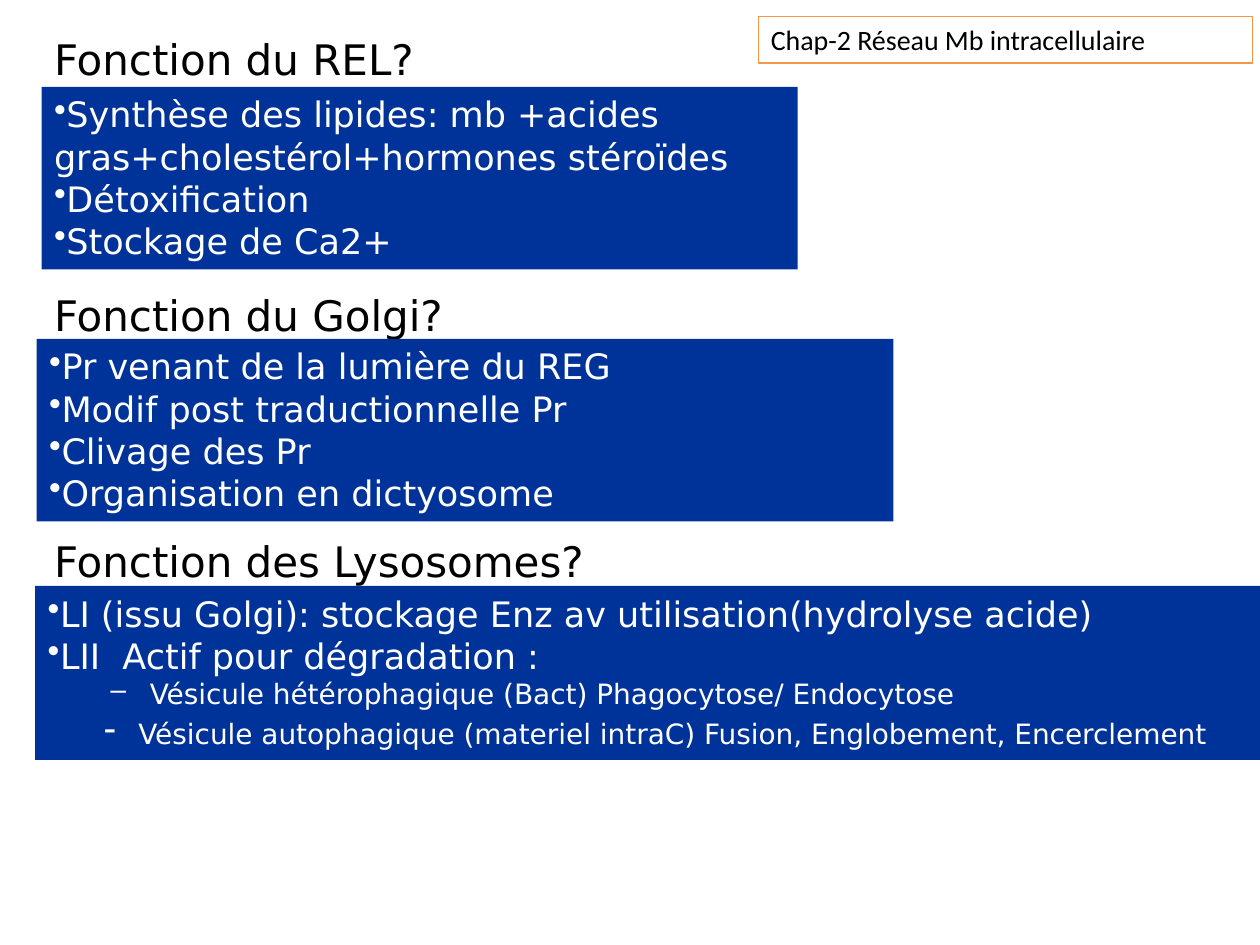
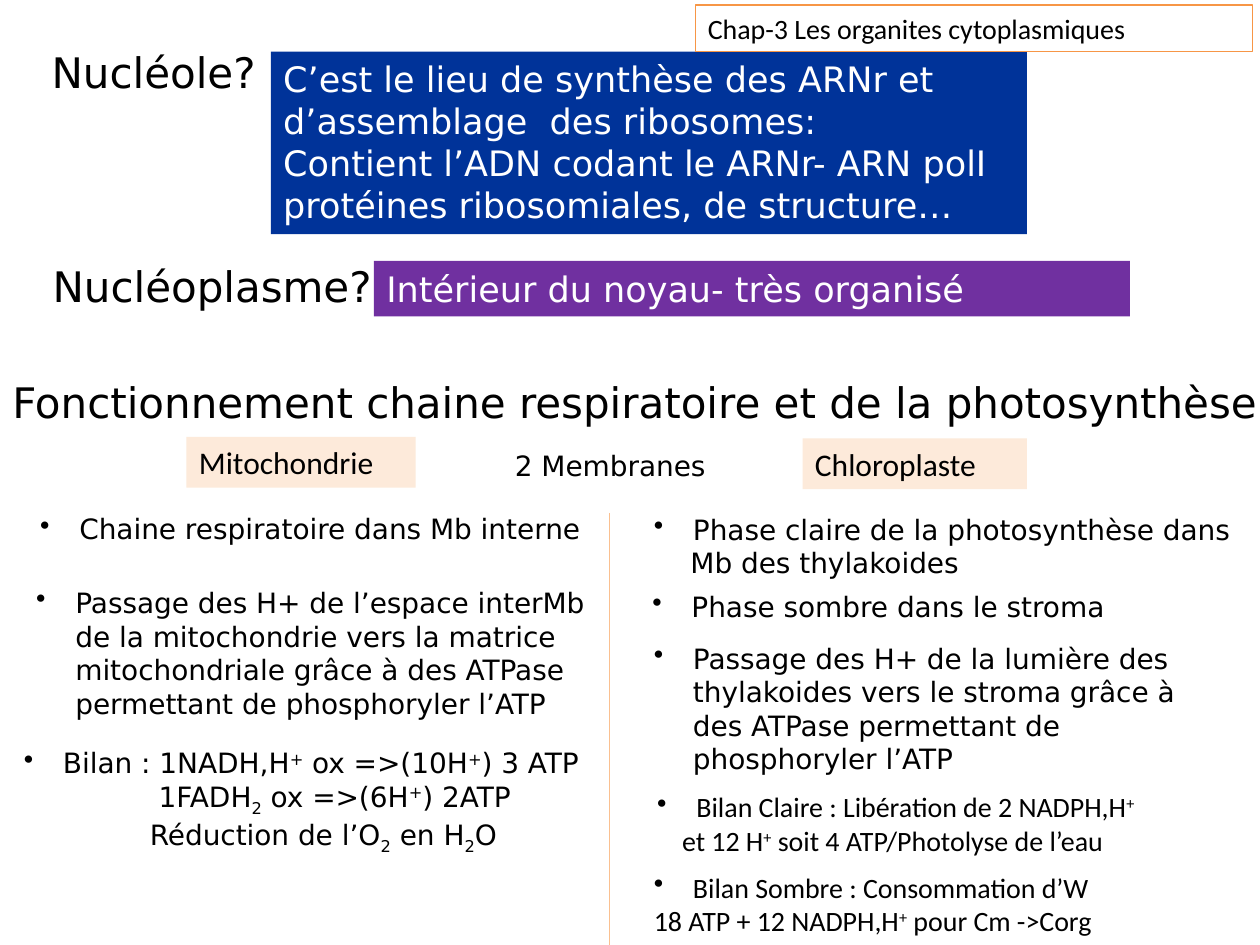
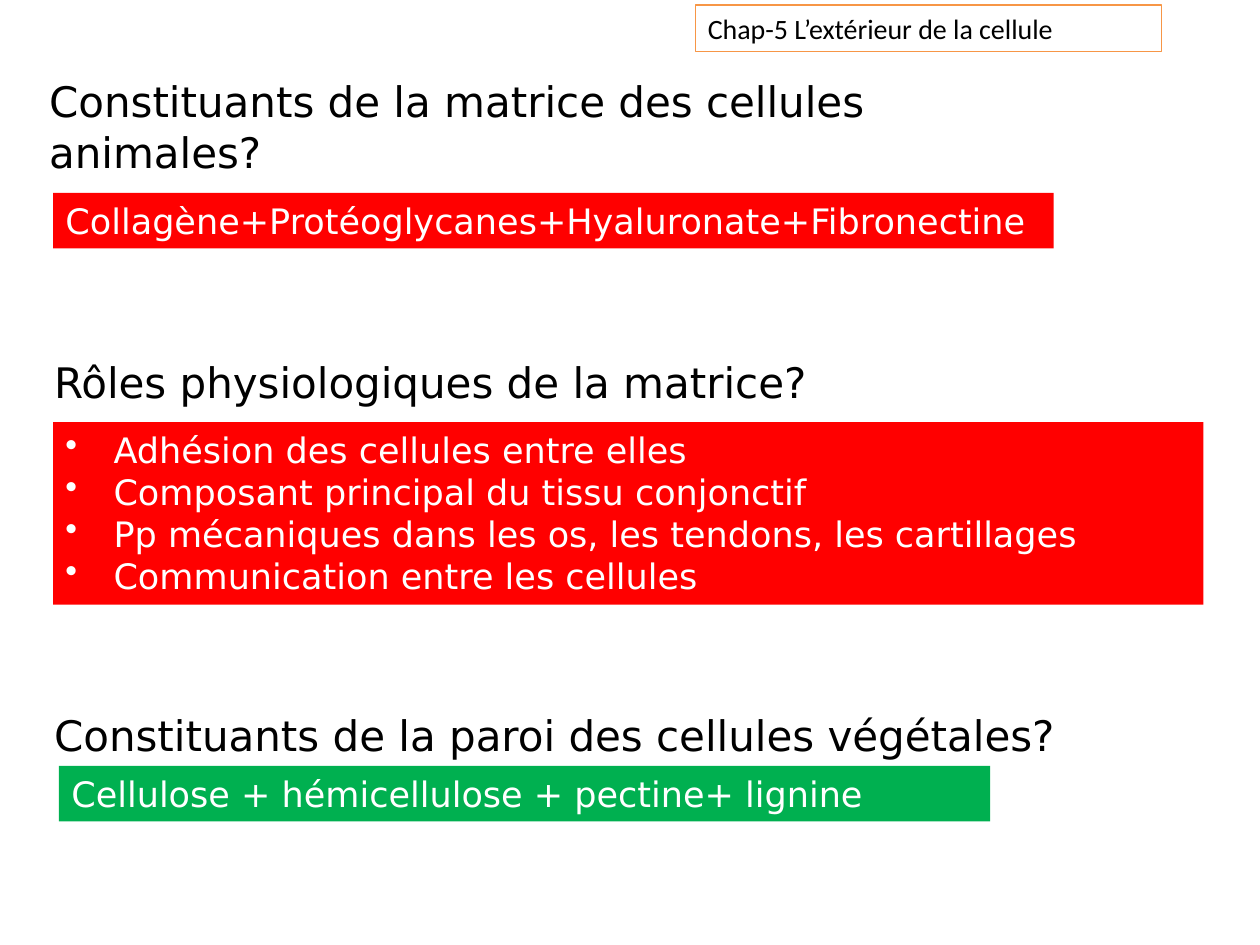
"""Build three revision slides on cell organelles."""
from pptx import Presentation
from pptx.dml.color import RGBColor
from pptx.enum import shapes, text
from pptx.oxml import xmlchemy
from pptx.util import Cm, Pt

BLACK = RGBColor(0x00, 0x00, 0x00)
WHITE = RGBColor(0xFF, 0xFF, 0xFF)
BLUE = RGBColor(0x00, 0x33, 0x99)
PURPLE = RGBColor(0x70, 0x30, 0xA0)
RED = RGBColor(0xFF, 0x00, 0x00)
GREEN = RGBColor(0x00, 0xB0, 0x50)
ORANGE = RGBColor(0xF7, 0x96, 0x46)
PALE_ORANGE = RGBColor(0xFA, 0xC0, 0x90)
CREAM = RGBColor(0xFD, 0xEA, 0xDA)

DEJAVU, CALIBRI = "DejaVu Sans", "Calibri"
QUESTION = dict(font=dict(name=DEJAVU, size=Pt(24)), color=BLACK)
ANSWER = dict(font=dict(name=DEJAVU, size=Pt(20)), color=WHITE)
NOTE = dict(font=dict(name=DEJAVU, size=Pt(16)), color=BLACK)
SUMMARY = dict(font=dict(name=CALIBRI, size=Pt(16)), color=BLACK)
ORGANELLE = dict(font=dict(name=CALIBRI, size=Pt(18)), color=BLACK, fill=CREAM)
CHAPTER = dict(SUMMARY, line=ORANGE)
ON_BLUE, ON_PURPLE, ON_RED, ON_GREEN = [
    dict(ANSWER, fill=c) for c in (BLUE, PURPLE, RED, GREEN)]

PLAIN = dict(left=0, first=0)
TIGHT = dict(left=0, first=0, bullet="•")
HANGING = dict(left=0.79, first=-0.79, bullet="•")
WIDE = dict(left=0.97, first=-0.97, bullet="•")
DASH = dict(left=2.06, first=-0.79, bullet="–", size=16)
HYPHEN = dict(left=1.83, first=-0.69, bullet="-", size=16, scale=125, before=4)
FOLLOW = dict(left=0.5, first=0)
BALANCE = dict(left=2.54, first=0)
BALANCE_FIRST = dict(left=2.72, first=0)


def add_paragraph(p, content, layout, look):
    """Fill a paragraph; pieces between bars are raised, or lowered if digits."""
    pPr = p._p.get_or_add_pPr()
    pPr.set("marL", str(Cm(layout["left"])))
    pPr.set("indent", str(Cm(layout["first"])))
    p.alignment = text.PP_ALIGN.LEFT
    p.space_before = Pt(layout.get("before", 0))
    if "scale" in layout:
        size = xmlchemy.OxmlElement("a:buSzPct")
        size.set("val", str(layout["scale"] * 1000))
        pPr.append(size)
    if "bullet" in layout:
        bullet = xmlchemy.OxmlElement("a:buChar")
        bullet.set("char", layout["bullet"])
        pPr.append(bullet)
    for i, piece in enumerate(content.split("|")):
        if not piece:
            continue
        r = p.add_run()
        r.text = piece
        for name, value in look["font"].items():
            setattr(r.font, name, value)
        if "size" in layout:
            r.font.size = Pt(layout["size"])
        r.font.color.rgb = look["color"]
        if i % 2:
            shift = -25000 if piece.isdigit() else 30000
            r.font._element.set("baseline", str(shift))


def add_box(s, look, at, layout, *lines):
    """Add a text box, or a rectangle when the look has a fill or a line."""
    at = [Cm(v) for v in at]
    if "fill" in look or "line" in look:
        sp = s.shapes.add_shape(shapes.MSO_SHAPE.RECTANGLE, *at)
        sp.shadow.inherit = False
    else:
        sp = s.shapes.add_textbox(*at)
    if "fill" in look:
        sp.fill.solid()
        sp.fill.fore_color.rgb = look["fill"]
    else:
        sp.fill.background()
    if "line" in look:
        sp.line.color.rgb = look["line"]
        sp.line.width = Pt(0.75)
    else:
        sp.line.fill.background()
    tf = sp.text_frame
    tf.word_wrap = True
    tf.vertical_anchor = text.MSO_ANCHOR.TOP
    for i, line in enumerate(lines):
        content, own = line if isinstance(line, tuple) else (line, layout)
        p = tf.add_paragraph() if i else tf.paragraphs[0]
        add_paragraph(p, content, own, look)


SLIDES = [
    [
        (QUESTION, (0.84, 0.56, 8.18, 2.31), PLAIN, "Fonction du REL?"),
        (ON_BLUE, (0.84, 1.75, 15.24, 3.68), TIGHT,
         "Synthèse des lipides: mb +acides gras+cholestérol+hormones stéroïdes",
         "Détoxification",
         "Stockage de Ca2+"),
        (CHAPTER, (15.29, 0.33, 9.96, 0.94), PLAIN,
         "Chap-2 Réseau Mb intracellulaire"),
        (QUESTION, (0.84, 5.72, 9.58, 2.31), PLAIN, "Fonction du Golgi?"),
        (ON_BLUE, (0.74, 6.83, 17.27, 3.68), TIGHT,
         "Pr venant de la lumière du REG",
         "Modif post traductionnelle Pr",
         "Clivage des Pr",
         "Organisation en dictyosome"),
        (QUESTION, (0.84, 10.67, 12.32, 2.31), PLAIN, "Fonction des Lysosomes?"),
        (ON_BLUE, (0.71, 11.81, 24.69, 3.51), TIGHT,
         "LI (issu Golgi): stockage Enz av utilisation(hydrolyse acide)",
         "LII  Actif pour dégradation :",
         ("Vésicule hétérophagique (Bact) Phagocytose/ Endocytose", DASH),
         ("Vésicule autophagique (materiel intraC) Fusion, Englobement, "
          "Encerclement", HYPHEN)),
    ],
    [
        (QUESTION, (0.79, 0.81, 6.38, 2.31), PLAIN, "Nucléole?"),
        (QUESTION, (0.81, 5.13, 7.19, 2.31), PLAIN, "Nucléoplasme?"),
        (ON_BLUE, (5.46, 1.04, 15.24, 3.68), PLAIN,
         "C’est le lieu de synthèse des ARNr et d’assemblage  des ribosomes:",
         "Contient l’ADN codant le ARNr- ARN polI protéines ribosomiales, "
         "de structure…"),
        (ON_PURPLE, (7.54, 5.26, 15.24, 1.12), PLAIN,
         "Intérieur du noyau- très organisé"),
        (QUESTION, (0, 7.47, 25.86, 1.3), PLAIN,
         "Fonctionnement chaine respiratoire et de la photosynthèse"),
        (CHAPTER, (14.02, 0.1, 11.23, 0.94), PLAIN,
         "Chap-3 Les organites cytoplasmiques"),
        (ORGANELLE, (3.76, 8.81, 4.62, 1.02), PLAIN, "Mitochondrie"),
        (ORGANELLE, (16.18, 8.84, 4.52, 1.02), PLAIN, "Chloroplaste"),
        (NOTE, (10.13, 8.92, 4.39, 0.94), PLAIN, "2 Membranes"),
        (SUMMARY, (13, 15.8, 12.83, 1.63), HANGING,
         "Bilan Claire : Libération de 2 NADPH,H|+|",
         ("et 12 H|+| soit 4 ATP/Photolyse de l’eau", FOLLOW)),
        (NOTE, (0.56, 10.19, 11.56, 0.94), HANGING,
         "Chaine respiratoire dans Mb interne"),
        (NOTE, (12.93, 10.21, 12.27, 0.94), HANGING,
         "Phase claire de la photosynthèse dans"),
        (NOTE, (13.67, 10.87, 5.99, 0.94), PLAIN, "Mb des thylakoides"),
        (NOTE, (12.9, 11.76, 9.8, 0.94), HANGING, "Phase sombre dans le stroma"),
        (NOTE, (12.93, 12.8, 12.04, 3), HANGING,
         "Passage des H+ de la lumière des thylakoides vers le stroma grâce à "
         "des ATPase permettant de phosphoryler l’ATP"),
        (NOTE, (0.48, 11.68, 12.04, 3), HANGING,
         "Passage des H+ de l’espace interMb de la mitochondrie vers la matrice "
         "mitochondriale grâce à des ATPase permettant de phosphoryler l’ATP"),
        (NOTE, (0.23, 14.91, 12.34, 2.31), HANGING,
         "Bilan : 1NADH,H|+| ox =>(10H|+|) 3 ATP",
         ("1FADH|2| ox =>(6H|+|) 2ATP", BALANCE_FIRST),
         ("Réduction de l’O|2| en H|2|O", BALANCE)),
        (SUMMARY, (12.93, 17.42, 12.34, 1.63), HANGING,
         "Bilan Sombre : Consommation d’W",
         ("18 ATP + 12 NADPH,H|+| pour Cm ->Corg", PLAIN)),
    ],
    [
        (QUESTION, (0.74, 1.4, 19.43, 3.33), PLAIN,
         "Constituants de la matrice des cellules animales?"),
        (ON_RED, (1.07, 3.89, 20.17, 1.12), PLAIN,
         "Collagène+Protéoglycanes+Hyaluronate+Fibronectine"),
        (QUESTION, (0.84, 14.17, 21.41, 2.31), PLAIN,
         "Constituants de la paroi des cellules végétales?"),
        (ON_GREEN, (1.19, 15.44, 18.77, 1.12), PLAIN,
         "Cellulose + hémicellulose + pectine+ lignine"),
        (CHAPTER, (14.02, 0.1, 9.4, 0.94), PLAIN,
         "Chap-5 L’extérieur de la cellule"),
        (QUESTION, (0.84, 7.06, 19.43, 2.31), PLAIN,
         "Rôles physiologiques de la matrice?"),
        (ON_RED, (1.07, 8.51, 23.19, 3.68), WIDE,
         "Adhésion des cellules entre elles",
         "Composant principal du tissu conjonctif",
         "Pp mécaniques dans les os, les tendons, les cartillages",
         "Communication entre les cellules"),
    ],
]

prs = Presentation()
prs.slide_width, prs.slide_height = Cm(25.4), Cm(19.05)
for boxes in SLIDES:
    s = prs.slides.add_slide(prs.slide_layouts[6])
    for box in boxes:
        add_box(s, *box)

divider = prs.slides[1].shapes.add_connector(
    shapes.MSO_CONNECTOR.STRAIGHT, Cm(12.29), Cm(10.34), Cm(12.29), Cm(19.05))
divider.line.color.rgb = PALE_ORANGE
divider.line.width = Pt(0.75)
divider._element.spPr.append(xmlchemy.OxmlElement("a:effectLst"))

prs.save("out.pptx")
